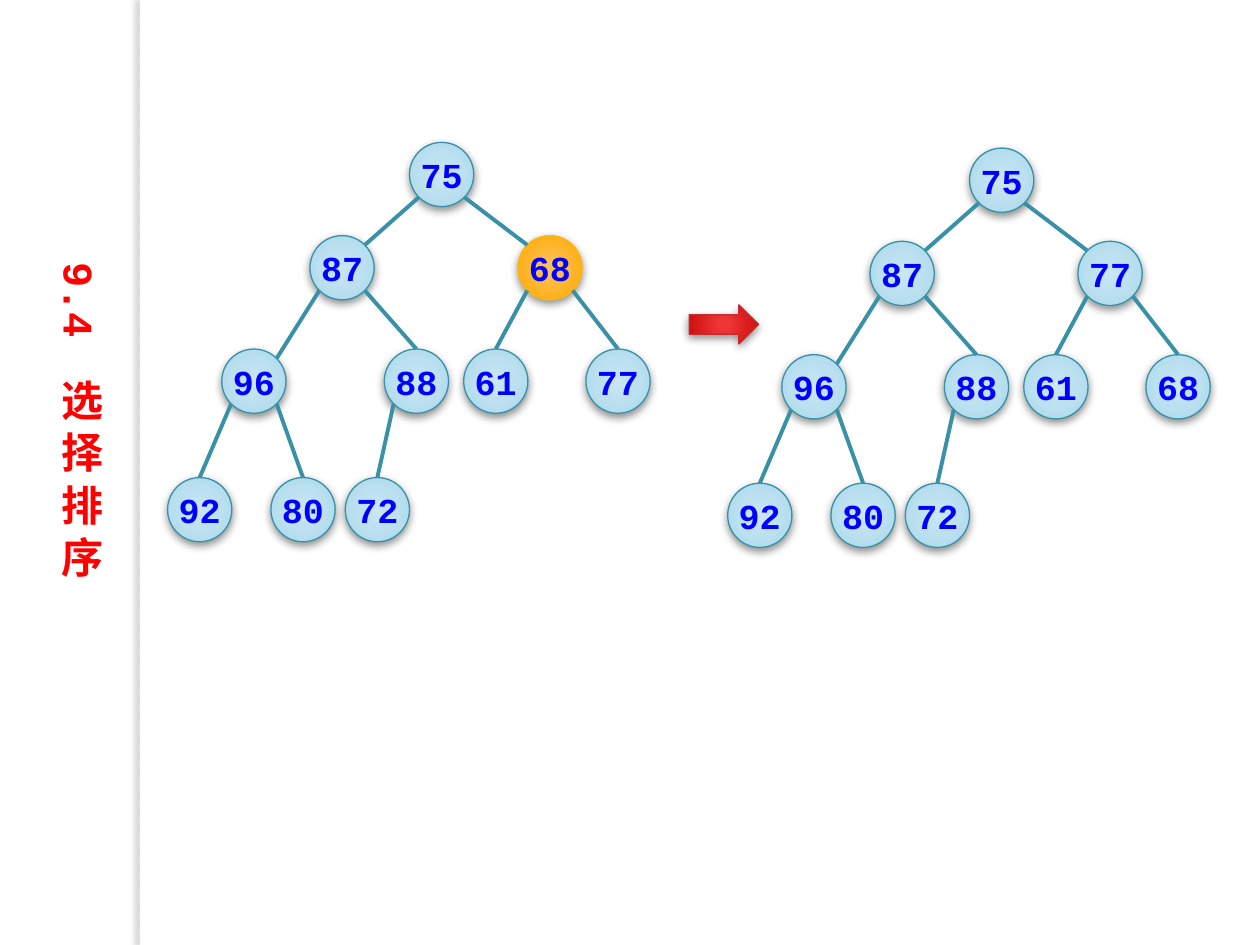
"""Draw one step of a heap sort as a pair of binary trees."""
from lxml.etree import SubElement
from pptx import Presentation
from pptx.dml.color import RGBColor
from pptx.enum.shapes import MSO_CONNECTOR, MSO_SHAPE
from pptx.enum.text import MSO_ANCHOR, MSO_AUTO_SIZE, PP_ALIGN
from pptx.oxml.ns import qn
from pptx.util import Inches, Pt

COLUMNS, ROWS = 100, 75
NODE_SIZE = 5.1
NODE_PLACES = [(32.5, 11.3), (24.6, 18.7), (41.1, 18.7),
               (17.6, 27.7), (30.5, 27.7), (36.8, 27.7), (46.5, 27.7),
               (13.3, 37.9), (21.5, 37.9), (27.4, 37.9)]
SIDE_JOINED = {1: 1, 2: -1, 3: 1}
BEFORE = [75, 87, 68, 96, 88, 61, 77, 92, 80, 72]
AFTER = [75, 87, 77, 96, 88, 61, 68, 92, 80, 72]
BLUE_GLOW = [(0, "C9E6F2"), (50, "BBE0EF"), (97, "A4D8ED"), (100, "9BD7EE")]
ORANGE_GLOW = [(0, "FFBF54"), (15, "FFBF53"), (62, "FFB221"), (97, "F6A500"), (100, "D69900")]
RED_GLOW = [(0, "EF3737"), (15, "EE3637"), (62, "DB1C1C"), (97, "C70C0D"), (100, "C30001")]
TEAL, ORANGE, RED = "3891A7", "FEB80A", "C32D2E"


def color(value):
    return RGBColor.from_string(value)


class TreeSlide:
    """Holds the style and the current slide, placed on a grid of columns and rows."""

    font_name = "Courier New"

    def __init__(self, presentation):
        self.slide = presentation.slides.add_slide(presentation.slide_layouts[5])
        self.column = presentation.slide_width / COLUMNS
        self.row = presentation.slide_height / ROWS

    def place(self, left, top, width, height):
        return [round(left * self.column), round(top * self.row),
                round(width * self.column), round(height * self.row)]

    def label(self, frame, text, size, text_color):
        paragraph = frame.paragraphs[0]
        paragraph.text = text
        paragraph.alignment = PP_ALIGN.CENTER
        font = paragraph.font
        font.name, font.size, font.bold = self.font_name, Pt(size), True
        font.color.rgb = color(text_color)

    def shadow(self, shape, value, opacity, blur, distance, angle):
        shape.shadow.inherit = False
        effects = shape._element.spPr.find(qn("a:effectLst"))
        outer = SubElement(effects, qn("a:outerShdw"), blurRad=str(Pt(blur)),
                           dist=str(Pt(distance)), dir=str(angle * 60000), rotWithShape="0")
        tint = SubElement(outer, qn("a:srgbClr"), val=value)
        SubElement(tint, qn("a:alpha"), val=str(opacity * 1000))

    def glow(self, shape, stops):
        shape.fill.gradient()
        gradient = shape._element.spPr.find(qn("a:gradFill"))
        for child in list(gradient):
            gradient.remove(child)
        stop_list = SubElement(gradient, qn("a:gsLst"))
        for position, value in stops:
            stop = SubElement(stop_list, qn("a:gs"), pos=str(position * 1000))
            SubElement(stop, qn("a:srgbClr"), val=value)
        circle = SubElement(gradient, qn("a:path"), path="circle")
        SubElement(circle, qn("a:fillToRect"), l="50000", t="50000", r="50000", b="50000")

    def raised(self, shapes, kind, box, stops, outline):
        shape = shapes.add_shape(kind, *self.place(*box))
        self.glow(shape, stops)
        shape.line.color.rgb = color(outline)
        shape.line.width = Pt(0.75)
        self.shadow(shape, "000000", 43, 5, 2, 90)
        return shape

    def node(self, shapes, left, top, key, marked):
        stops, outline = (ORANGE_GLOW, ORANGE) if marked else (BLUE_GLOW, TEAL)
        shape = self.raised(shapes, MSO_SHAPE.OVAL, (left, top, NODE_SIZE, NODE_SIZE),
                            stops, outline)
        frame = shape.text_frame
        frame.margin_left = frame.margin_right = 0
        frame.vertical_anchor = MSO_ANCHOR.MIDDLE
        self.label(frame, str(key), 20, "0000FF")
        return shape

    def rim(self, node, horizontal, vertical):
        """Return the point on the node's diagonal in the given direction."""
        reach = node.width / 2 * 0.5 ** 0.5
        return (round(node.left + node.width / 2 + horizontal * reach),
                round(node.top + node.height / 2 + vertical * reach))

    def edge(self, shapes, parent, child, side, joined_side):
        start = self.rim(parent, side, 1)
        end = self.rim(child, joined_side or 0, -1)
        connector = shapes.add_connector(MSO_CONNECTOR.STRAIGHT, *start, *end)
        if joined_side is None:
            connector.end_connect(child, 0)
        connector.line.color.rgb = color(TEAL)
        connector.line.width = Pt(2.25)
        SubElement(connector._element.spPr, qn("a:effectLst"))

    def tree(self, keys, shift=(0, 0), marked=None):
        shapes = self.slide.shapes.add_group_shape().shapes
        nodes = [self.node(shapes, left + shift[0], top + shift[1], key, key == marked)
                 for key, (left, top) in zip(keys, NODE_PLACES)]
        for index, child in enumerate(nodes[1:], 1):
            side = -1 if index % 2 else 1
            self.edge(shapes, nodes[(index - 1) // 2], child, side, SIDE_JOINED.get(index))

    def arrow(self, *box):
        self.raised(self.slide.shapes, MSO_SHAPE.RIGHT_ARROW, box, RED_GLOW, RED)

    def divider(self, *box):
        shape = self.slide.shapes.add_shape(MSO_SHAPE.RECTANGLE, *self.place(*box))
        shape.fill.solid()
        shape.fill.fore_color.rgb = color("FFFFFF")
        shape.line.fill.background()
        self.shadow(shape, "736F63", 25, 3, 3, 180)

    def vertical_title(self, text, *box):
        title = self.slide.shapes.title
        title.left, title.top, title.width, title.height = self.place(*box)
        frame = title.text_frame
        frame.word_wrap = True
        frame.auto_size = MSO_AUTO_SIZE.NONE
        frame.vertical_anchor = MSO_ANCHOR.TOP
        frame._txBody.bodyPr.set("vert", "eaVert")
        self.label(frame, text, 24, "FF0000")


def main():
    presentation = Presentation()
    presentation.slide_width, presentation.slide_height = Inches(10), Inches(7.5)
    page = TreeSlide(presentation)
    page.divider(11.1, 0, 0.8, ROWS)
    page.tree(BEFORE, marked=68)
    page.arrow(54.7, 24.2, 5.5, 3.1)
    page.tree(AFTER, shift=(44.45, 0.45))
    page.vertical_title("9.4　选 择 排 序", 3.3, 20.3, 6.1, 32)
    presentation.save("out.pptx")


if __name__ == "__main__":
    main()
